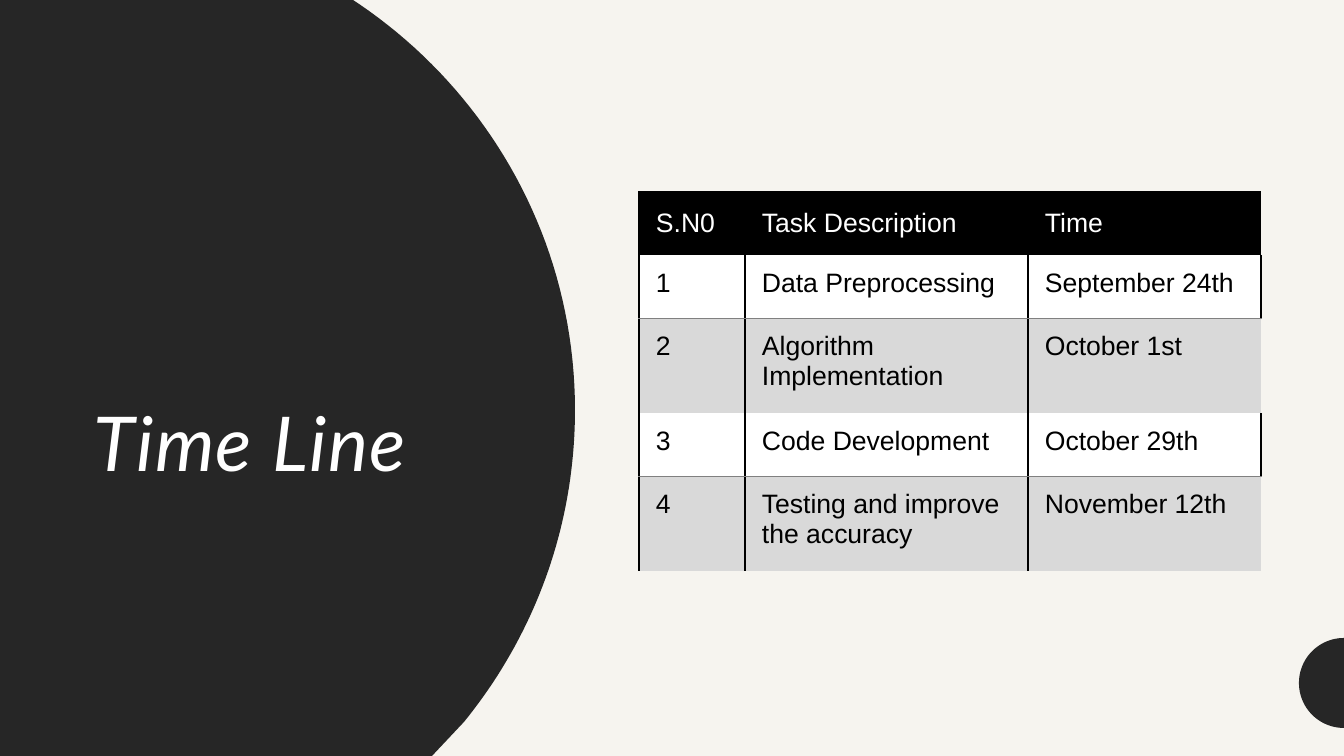
from dataclasses import dataclass
from math import cos, pi, sin

from lxml.etree import SubElement
from pptx import Presentation
from pptx.dml.color import RGBColor
from pptx.enum.text import MSO_ANCHOR as Anchor
from pptx.oxml.ns import qn
from pptx.util import Pt

PX = 12192000 / 1344
WIDTH, HEIGHT = 1344, 756
CREAM = RGBColor(0xF6, 0xF4, 0xEF)
CHARCOAL = RGBColor(0x26, 0x26, 0x26)
WHITE = RGBColor(0xFF, 0xFF, 0xFF)
BLACK = RGBColor(0x00, 0x00, 0x00)
GRAY = RGBColor(0x80, 0x80, 0x80)
SILVER = RGBColor(0xD9, 0xD9, 0xD9)
NO_GRID_STYLE = "{2D5ABB26-0587-4C30-8999-92F81FD0307C}"

Point = tuple[float, float]


@dataclass
class Border:
    edge: str
    color: RGBColor | None = None
    width: float = 0


@dataclass
class Row:
    texts: tuple[str, str, str]
    height: int
    fill: RGBColor
    ink: RGBColor = BLACK
    anchor: Anchor = Anchor.TOP
    top: Border | None = None
    bottom: Border | None = None
    closed: bool = False


def px(length: float) -> int:
    return round(length * PX)


def bezier(start: Point, first: Point, second: Point, end: Point, steps: int = 40) -> list[Point]:
    curve = []
    for step in range(steps + 1):
        t = step / steps
        weights = ((1 - t) ** 3, 3 * t * (1 - t) ** 2, 3 * t * t * (1 - t), t ** 3)
        corners = (start, first, second, end)
        curve.append((sum(w * c[0] for w, c in zip(weights, corners)),
                      sum(w * c[1] for w, c in zip(weights, corners))))
    return curve


def half_disc(x: int, y: int, radius: int, steps: int = 48) -> list[Point]:
    angles = [pi / 2 + pi * step / steps for step in range(steps + 1)]
    return [(x + radius * cos(angle), y + radius * sin(angle)) for angle in angles]


def set_format(target: object, values: dict) -> None:
    for name, value in values.items():
        setattr(target, name, value)


def draw_outline(page, outline: list[Point]) -> None:
    points = [(px(x), px(y)) for x, y in outline]
    builder = page.shapes.build_freeform(*points[0])
    builder.add_line_segments(points[1:], close=True)
    shape = builder.convert_to_shape()
    shape.shadow.inherit = False
    shape.fill.solid()
    shape.fill.fore_color.rgb = CHARCOAL
    shape.line.fill.background()


def draw_title(page, text: str) -> None:
    box = page.shapes.add_textbox(px(84), px(124), px(380), px(369))
    set_format(box.text_frame, {"word_wrap": True, "vertical_anchor": Anchor.BOTTOM})
    para = box.text_frame.paragraphs[0]
    para.line_spacing = 0.9
    span = para.add_run()
    span.text = text
    set_format(span.font, {"name": "Lato", "size": Pt(54), "italic": True})
    span.font.color.rgb = WHITE
    span.font._element.set("spc", "100")


def draw_border(cell, border: Border) -> None:
    properties = cell._tc.get_or_add_tcPr()
    line = SubElement(properties, qn(f"a:ln{border.edge}"), w=str(Pt(border.width)))
    if border.color is None:
        SubElement(line, qn("a:noFill"))
        return
    solid = SubElement(line, qn("a:solidFill"))
    SubElement(solid, qn("a:srgbClr"), val=str(border.color))


def draw_cell(cell, text: str, row: Row, last: bool) -> None:
    set_format(cell, {"margin_left": px(17), "margin_top": px(14), "margin_right": px(13),
                      "margin_bottom": px(14), "vertical_anchor": row.anchor})
    right = Border("R", BLACK, 1.5) if last and row.closed else None
    for border in (Border("L", BLACK, 1.5), right, row.top, row.bottom):
        if border:
            draw_border(cell, border)
    cell.fill.solid()
    cell.fill.fore_color.rgb = row.fill
    span = cell.text_frame.paragraphs[0].add_run()
    span.text = text
    set_format(span.font, {"name": "Arial", "size": Pt(19), "bold": False})
    span.font.color.rgb = row.ink


def draw_schedule(page, rows: list[Row], widths: tuple[int, ...]) -> None:
    height = sum(row.height for row in rows)
    frame = page.shapes.add_table(len(rows), len(widths), px(639), px(192),
                                  px(sum(widths)), px(height))
    table = frame.table
    set_format(table, {"first_row": False, "horz_banding": False})
    table._tbl.tblPr.find(qn("a:tableStyleId")).text = NO_GRID_STYLE
    for column, width in zip(table.columns, widths):
        column.width = px(width)
    for line, row in zip(table.rows, rows):
        line.height = px(row.height)
        for index, (cell, text) in enumerate(zip(line.cells, row.texts)):
            draw_cell(cell, text, row, index == len(widths) - 1)


TITLE_PANEL = [
    (0, 0), (353, 0),
    *bezier((359, 4), (490, 93), (575, 242), (575, 410)),
    *bezier((575, 410), (575, 529), (533, 637), (464, 722)),
    (432, HEIGHT), (0, HEIGHT),
]
EDGE_DOT = half_disc(WIDTH, 683, 45)
RULE = Border("T", GRAY, 0.5)
OPEN_TOP, OPEN_BOTTOM = Border("T"), Border("B")
SCHEDULE = [
    Row(("S.N0", "Task Description", "Time"), 63, BLACK, WHITE, Anchor.MIDDLE,
        Border("T", BLACK, 1.5)),
    Row(("1", "Data Preprocessing", "September 24th"), 63, WHITE, closed=True),
    Row(("2", "Algorithm Implementation", "October 1st"), 95, SILVER,
        top=RULE, bottom=OPEN_BOTTOM),
    Row(("3", "Code Development", "October 29th"), 63, WHITE, top=OPEN_TOP, closed=True),
    Row(("4", "Testing and improve the accuracy", "November 12th"), 95, SILVER,
        top=RULE, bottom=OPEN_BOTTOM),
]


def main() -> None:
    deck = Presentation()
    set_format(deck, {"slide_width": px(WIDTH), "slide_height": px(HEIGHT)})
    page = deck.slides.add_slide(deck.slide_layouts[6])
    page.background.fill.solid()
    page.background.fill.fore_color.rgb = CREAM
    for outline in (TITLE_PANEL, EDGE_DOT):
        draw_outline(page, outline)
    draw_title(page, "Time Line")
    draw_schedule(page, SCHEDULE, (106, 283, 233))
    deck.save("out.pptx")


if __name__ == "__main__":
    main()
